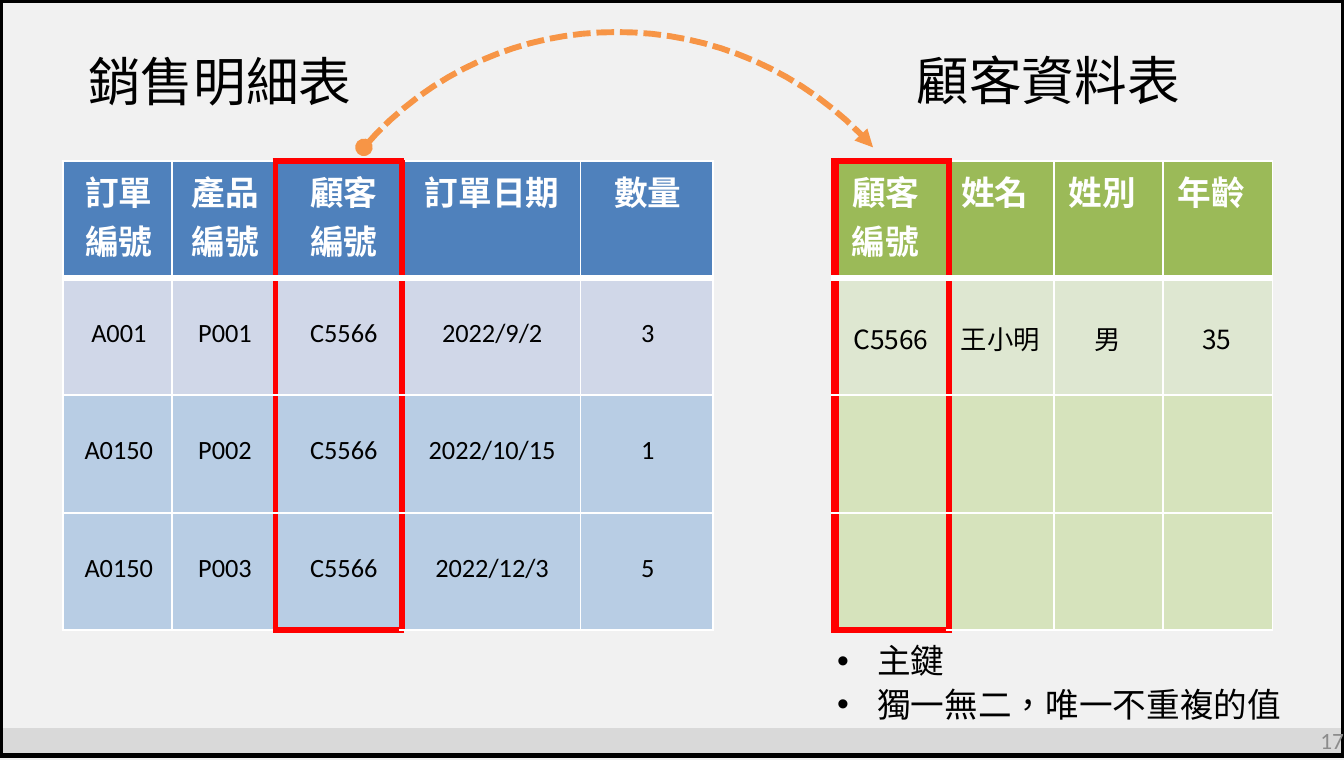
"""Build a slide that links an order table to a customer table by a key column."""
from lxml.etree import SubElement
from pptx import Presentation
from pptx.dml.color import RGBColor
from pptx.enum.lang import MSO_LANGUAGE_ID as Language
from pptx.enum.shapes import MSO_SHAPE as Shape
from pptx.enum.text import MSO_ANCHOR as Anchor, MSO_AUTO_SIZE as AutoSize, PP_ALIGN as Align
from pptx.oxml.ns import qn
from pptx.util import Inches, Pt

SANS_TC, SANS_SC, LATIN = "Noto Sans CJK TC", "Noto Sans CJK SC", "Calibri"
WHITE, RED, BLACK, ORANGE = "FFFFFF", "FF0000", "000000", "F79546"
UNIT = Inches(0.01)
COLUMNS = 639


def color(hex_code):
    return RGBColor.from_string(hex_code)


def add_run(para, text, size, hex_code, font, bold=False):
    span = para.add_run()
    span.text = text
    span.font.size = Pt(size)
    span.font.bold = bold
    span.font.color.rgb = color(hex_code)
    span.font.name = font
    span.font.language_id = Language.TRADITIONAL_CHINESE
    SubElement(span.font._element, qn("a:ea"), typeface=font)


deck = Presentation()
deck.slide_width, deck.slide_height = Pt(460), Pt(260)
page = deck.slides.add_slide(deck.slide_layouts[1])
page.background.fill.solid()
page.background.fill.fore_color.rgb = color("F1F1F1")
title, notes = page.placeholders

strip = page.shapes.add_shape(Shape.RECTANGLE, 0, 346 * UNIT, COLUMNS * UNIT, 14 * UNIT)
strip.shadow.inherit = False
strip.fill.solid()
strip.fill.fore_color.rgb = color("D9D9D9")
strip.line.fill.background()

customer_title = page.shapes.add_textbox(0, 0, UNIT, UNIT)
for box, left, text in ((title, 32, "銷售明細表"), (customer_title, 426, "顧客資料表")):
    box.left, box.top, box.width, box.height = left * UNIT, 18 * UNIT, 146 * UNIT, 40 * UNIT
    frame = box.text_frame
    frame.word_wrap, frame.auto_size = True, AutoSize.NONE
    frame.margin_right = 0
    frame.vertical_anchor = Anchor.MIDDLE
    para = frame.paragraphs[0]
    para.alignment = Align.LEFT
    add_run(para, text, 18, BLACK, SANS_SC)

orders = {
    "left": 30, "widths": (52, 49, 60, 85, 63), "key": 2, "key_shift": 4, "font": LATIN,
    "fills": ("4F81BC", "D0D7E8", "B8CDE4", "B8CDE4"),
    "header_margins": (8, 7, 3, 0), "body_margins": (1, 0, 0, 3),
    "rows": (("訂單 編號", "產品 編號", "顧客 編號", "訂單日期", "數量"),
             ("A001", "P001", "C5566", "2022/9/2", "3"),
             ("A0150", "P002", "C5566", "2022/10/15", "1"),
             ("A0150", "P003", "C5566", "2022/12/3", "5")),
}
customers = {
    "left": 397, "widths": (54, 50, 52, 52), "key": 0, "key_shift": 0, "font": SANS_TC,
    "fills": ("9BBA58", "DEE7D1", "D6E3BC", "D6E3BC"),
    "header_margins": (5, 11, 3, 0), "body_margins": (0, 1, 1, 0),
    "rows": (("顧客 編號", "姓名", "姓別", "年齡"),
             ("C5566", "王小明", "男", "35"),
             ("",) * 4,
             ("",) * 4),
}
for data in (orders, customers):
    rows, widths, key = data["rows"], data["widths"], data["key"]
    table = page.shapes.add_table(len(rows), len(widths), data["left"] * UNIT, Pt(55),
                                  sum(widths) * UNIT, 223 * UNIT).table
    table.first_row = table.horz_banding = False
    for column, width in zip(table.columns, widths):
        column.width = width * UNIT
    for r, row in enumerate(rows):
        for c, text in enumerate(row):
            cell = table.cell(r, c)
            header = r == 0
            left, right, top, bottom = data["header_margins" if header else "body_margins"]
            if c == key:
                left += data["key_shift"]
            cell.margin_left, cell.margin_right = left * UNIT, right * UNIT
            cell.margin_top, cell.margin_bottom = top * UNIT, bottom * UNIT
            cell.vertical_anchor = Anchor.TOP if header else Anchor.MIDDLE
            red_sides = {
                "lnL": c in (key, key + 1),
                "lnR": c in (key - 1, key),
                "lnT": c == key and header,
                "lnB": c == key and r == len(rows) - 1,
            }
            for side, is_red in red_sides.items():
                below_header = (r, side) in ((0, "lnB"), (1, "lnT"))
                weight = 3 if is_red and c == 0 and side == "lnL" else 2.25 if is_red or below_header else 0.75
                border = SubElement(cell._tc.get_or_add_tcPr(), qn(f"a:{side}"), w=str(Pt(weight)))
                paint = SubElement(border, qn("a:solidFill"))
                SubElement(paint, qn("a:srgbClr"), val=RED if is_red else WHITE)
            cell.fill.solid()
            cell.fill.fore_color.rgb = color(data["fills"][r])
            para = cell.text_frame.paragraphs[0]
            para.alignment = Align.CENTER
            if header:
                para.space_before = Pt(2)
                add_run(para, text, 11.5, WHITE, SANS_TC, True)
            elif text:
                add_run(para, text, 9, BLACK, data["font"])

notes.left, notes.top, notes.width, notes.height = 397 * UNIT, 303 * UNIT, 240 * UNIT, 42 * UNIT
frame = notes.text_frame
frame.auto_size = AutoSize.NONE
frame.margin_left = frame.margin_right = frame.margin_bottom = 0
frame.margin_top = UNIT
for i, text in enumerate(("主鍵", "獨一無二，唯一不重複的值")):
    para = frame.add_paragraph() if i else frame.paragraphs[0]
    para.space_before, para.line_spacing = Pt(1), Pt(14)
    indents = para._p.get_or_add_pPr()
    indents.set("marL", str(20 * UNIT))
    indents.set("indent", str(-19 * UNIT))
    add_run(para, text, 11.5, BLACK, SANS_SC)

start, rise, fall, end = (173, 70), (236, -3), (350, -3), (415, 70)
steps = 32
curve = []
for step in range(steps + 1):
    t = step / steps
    weights = ((1 - t) ** 3, 3 * t * (1 - t) ** 2, 3 * t ** 2 * (1 - t), t ** 3)
    curve.append([sum(w * point[axis] for w, point in zip(weights, (start, rise, fall, end)))
                  * UNIT for axis in (0, 1)])
builder = page.shapes.build_freeform(*curve[0])
builder.add_line_segments(curve[1:], close=False)
link = builder.convert_to_shape()
link.shadow.inherit = False
link.fill.background()
link.line.color.rgb = color(ORANGE)
link.line.width = Pt(2)
stroke = link.line._get_or_add_ln()
SubElement(stroke, qn("a:prstDash"), val="sysDash")
SubElement(stroke, qn("a:headEnd"), type="oval")
SubElement(stroke, qn("a:tailEnd"), type="triangle")

border_frame = page.shapes.add_shape(Shape.RECTANGLE, 0, 0, COLUMNS * UNIT, 359 * UNIT)
border_frame.shadow.inherit = False
border_frame.fill.background()
border_frame.line.color.rgb = color(BLACK)
border_frame.line.width = Pt(1.92)

page_number = page.shapes.add_textbox(486 * UNIT, 345 * UNIT, 153 * UNIT, 13 * UNIT)
frame = page_number.text_frame
frame.word_wrap = True
frame.margin_left = frame.margin_right = frame.margin_top = frame.margin_bottom = 0
para = frame.paragraphs[0]
para.alignment = Align.RIGHT
add_run(para, "17", 8, "8C8C8C", LATIN)

deck.save("out.pptx")
